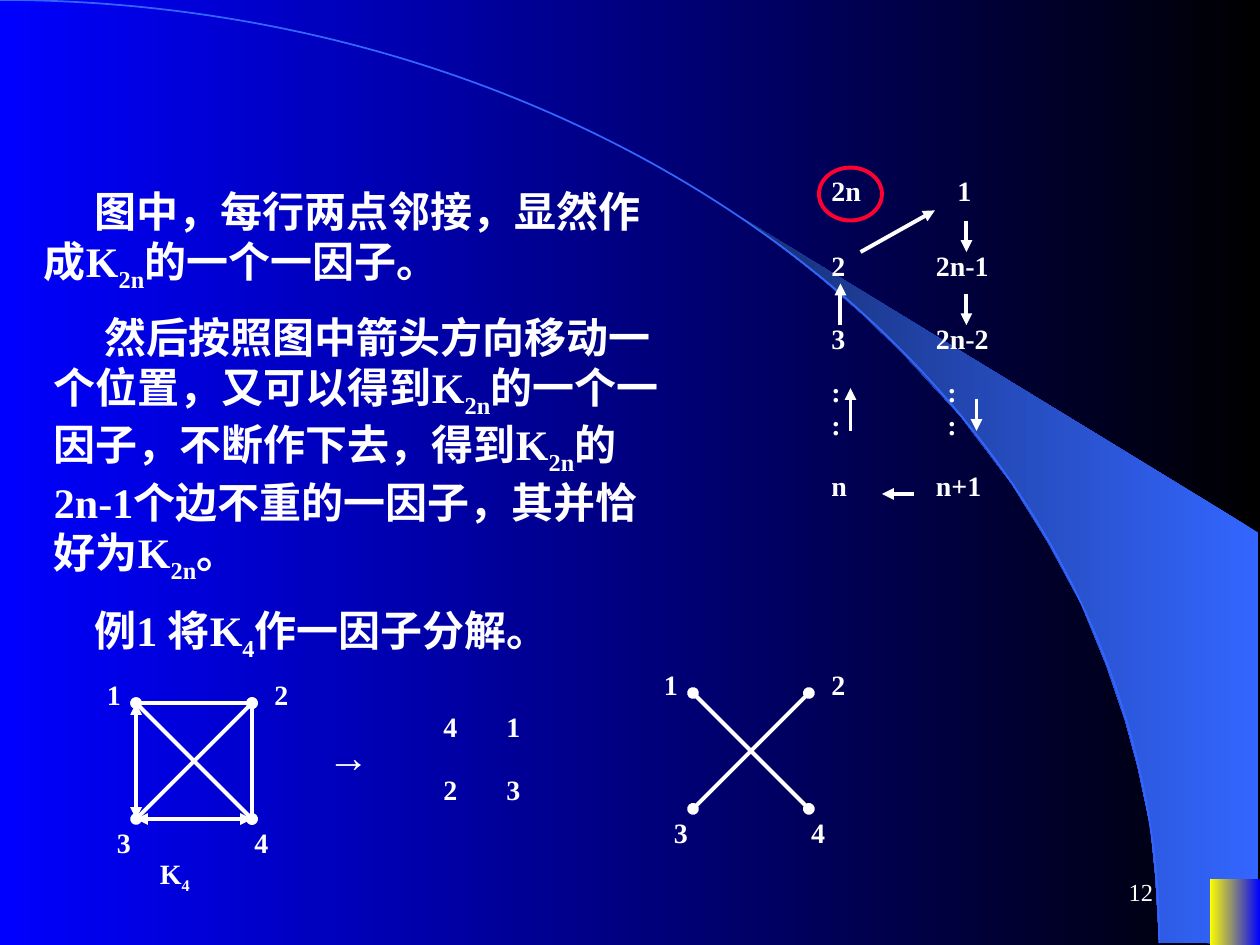
import pptx
import pptx.util
import pptx.dml.color
import pptx.enum.shapes
import pptx.enum.text
import pptx.oxml.ns
from lxml import etree

Inches = pptx.util.Inches
Pt = pptx.util.Pt
RGBColor = pptx.dml.color.RGBColor
SHAPE = pptx.enum.shapes.MSO_SHAPE
ALIGN = pptx.enum.text.PP_ALIGN
qn = pptx.oxml.ns.qn

BLACK = RGBColor(0x00, 0x00, 0x00)
BLUE = RGBColor(0x00, 0x00, 0xFF)
SKY = RGBColor(0x33, 0x66, 0xFF)
NAVY = RGBColor(0x17, 0x2F, 0x75)
YELLOW = RGBColor(0xFF, 0xFF, 0x00)
WHITE = RGBColor(0xFF, 0xFF, 0xFF)
RED = RGBColor(0xFF, 0x00, 0x33)

deck = pptx.Presentation()
deck.slide_width, deck.slide_height = Inches(10), Inches(7.5)
slide = deck.slides.add_slide(deck.slide_layouts[6])
shapes = slide.shapes


def write(left, top, width, height, text, size=16, bold=True, indent=0):
    """Add a text box; parts between bars are subscripts."""
    box = shapes.add_textbox(Inches(left), Inches(top), Inches(width), Inches(height))
    frame = box.text_frame
    frame.word_wrap = True
    for row, line in enumerate(text.split("\n")):
        para = frame.add_paragraph() if row else frame.paragraphs[0]
        if indent:
            para._p.get_or_add_pPr().set("indent", str(Inches(indent)))
        for part, words in enumerate(line.split("|")):
            run = para.add_run()
            run.text = words
            run.font.name = "Times New Roman"
            run.font.size = Pt(size)
            run.font.bold = bold
            run.font.color.rgb = WHITE
            if part % 2:
                run._r.get_or_add_rPr().set("baseline", "-25000")
    return frame


def join(start, end, head=None, tail=None):
    """Draw a white line with optional end marks."""
    line = shapes.add_connector(
        pptx.enum.shapes.MSO_CONNECTOR.STRAIGHT, *map(Inches, start + end))
    line.line.color.rgb = WHITE
    line.line.width = Pt(2.25)
    for tag, mark in (("a:headEnd", head), ("a:tailEnd", tail)):
        if mark:
            etree.SubElement(line.line._get_or_add_ln(), qn(tag), type=mark)
    etree.SubElement(line._element.spPr, qn("a:effectLst"))


# Backdrop: wedge, arc and corner block
edge = [(9.2, 7.48), (9.99, 7.49), (9.99, 4.23), (5.89, 1.73), (6.24, 1.99),
        (6.53, 2.22), (6.85, 2.5), (7.16, 2.8), (7.62, 3.3), (8.03, 3.84),
        (8.32, 4.31), (8.58, 4.79), (8.78, 5.28), (8.93, 5.72), (9.03, 6.09),
        (9.13, 6.56), (9.17, 6.96)]
spots = [(Inches(x), Inches(y)) for x, y in edge]
pen = shapes.build_freeform(*spots[0])
pen.add_line_segments(spots[1:], close=True)
wedge = pen.convert_to_shape()

arc = shapes.add_shape(SHAPE.ARC, Inches(-9.2), Inches(0), Inches(18.4), Inches(14.97))
arc.fill.background()
arc.line.color.rgb = SKY
arc.line.width = Pt(1)

block = shapes.add_shape(SHAPE.RECTANGLE, Inches(9.6), Inches(6.98), Inches(0.4), Inches(0.52))
for shape in (wedge, arc, block):
    shape.shadow.inherit = False
for shape in (wedge, block):
    shape.line.fill.background()

# Gradients run from right to left
for fill, pair in ((slide.background.fill, (BLACK, BLUE)),
                   (wedge.fill, (SKY, NAVY)),
                   (block.fill, (BLUE, YELLOW))):
    fill.gradient()
    fill.gradient_angle = 180
    for place, (stop, color) in enumerate(zip(fill.gradient_stops, pair)):
        stop.position = place
        stop.color.rgb = color

# Body text
write(0.25, 1.42, 5.08, 0.96, "图中，每行两点邻接，显然作成K|2n|的一个一因子。", 24, indent=0.4)
write(0.33, 2.42, 5.08, 2.27,
      "然后按照图中箭头方向移动一个位置，又可以得到K|2n|的一个一因子，"
      "不断作下去，得到K|2n|的2n-1个边不重的一因子，其并恰好为K|2n|。", 24, indent=0.4)
write(0.25, 4.75, 8.33, 0.56, "例1 将K|4|作一因子分解。", 24, indent=0.4)

# Rotation scheme: two columns of vertices
for top, near, far, left in ((1.33, "2n", "1", 7.5), (1.92, "2", "2n-1", 7.33),
                             (2.5, "3", "2n-2", 7.33), (2.92, ":\n:", ":\n:", 7.42),
                             (3.67, "n", "n+1", 7.33)):
    tall = 0.64 if "\n" in near else 0.37
    write(6.5, top, 0.6, tall, near)
    write(left, top, 0.75, tall, far)

for start, end in (((7.67, 1.75), (7.67, 2)), ((7.67, 2.33), (7.67, 2.58)),
                   ((7.75, 3.17), (7.75, 3.42)), ((7.25, 3.92), (7, 3.92)),
                   ((6.75, 3.42), (6.75, 3.08)), ((6.67, 2.58), (6.67, 2.25)),
                   ((6.83, 2), (7.42, 1.67))):
    join(start, end, tail="triangle")

ring = shapes.add_shape(SHAPE.OVAL, Inches(6.5), Inches(1.33), Inches(0.5), Inches(0.42))
ring.shadow.inherit = False
ring.fill.background()
ring.line.color.rgb = RED
ring.line.width = Pt(2.25)

# Complete graph K4, then its crossing pair of edges
side = 0.92
for left, top, full in ((1.08, 5.58, True), (5.5, 5.5, False)):
    right, low = left + side, top + side
    if full:
        join((left, top), (left, low), "triangle", "triangle")
        join((left, low), (right, low), "triangle", "triangle")
        join((left, top), (right, top), "oval", "oval")
        join((right, top), (right, low), "oval", "oval")
    join((left, top), (right, low), "oval", "oval")
    join((right, top), (left, low), "oval", "oval")
    for name, x, y in (("1", left - 0.33, top - 0.25), ("2", right + 0.08, top - 0.25),
                       ("3", left - 0.25, low), ("4", right - 0.08, low)):
        write(x, y, 0.43, 0.37, name)
write(1.17, 6.75, 0.75, 0.41, "K|4|")

# Arrow and pairing
write(2.5, 5.75, 0.77, 0.5, "→", 24)
for spot, name in enumerate("4123"):
    write(3.42 + 0.5 * (spot % 2), 5.58 + 0.5 * (spot // 2), 0.43, 0.37, name)

# Page number
page = write(7.17, 6.83, 2.08, 0.5, "12", 14, bold=False)
page.vertical_anchor = pptx.enum.text.MSO_ANCHOR.MIDDLE
page.paragraphs[0].alignment = ALIGN.RIGHT

deck.save("out.pptx")
